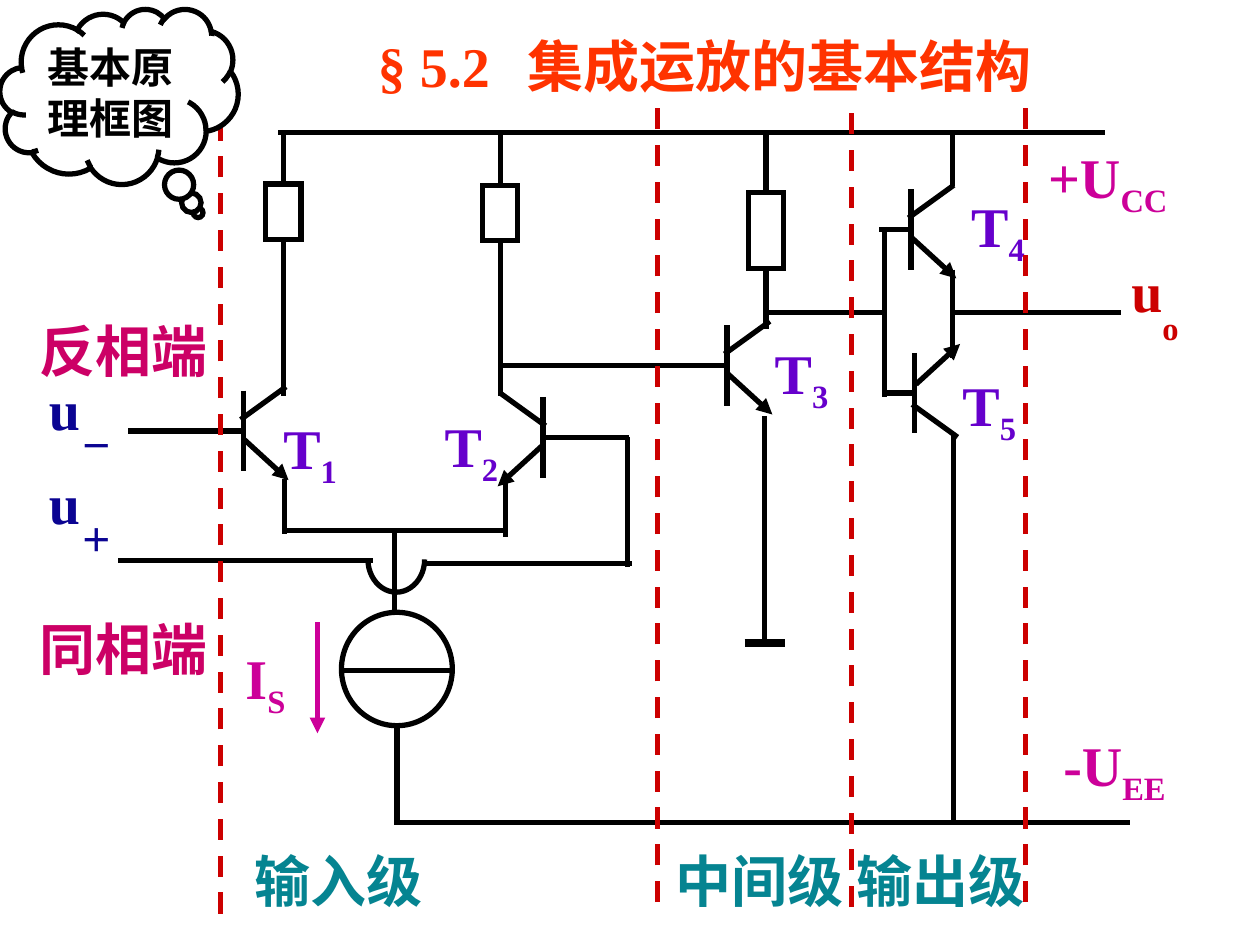
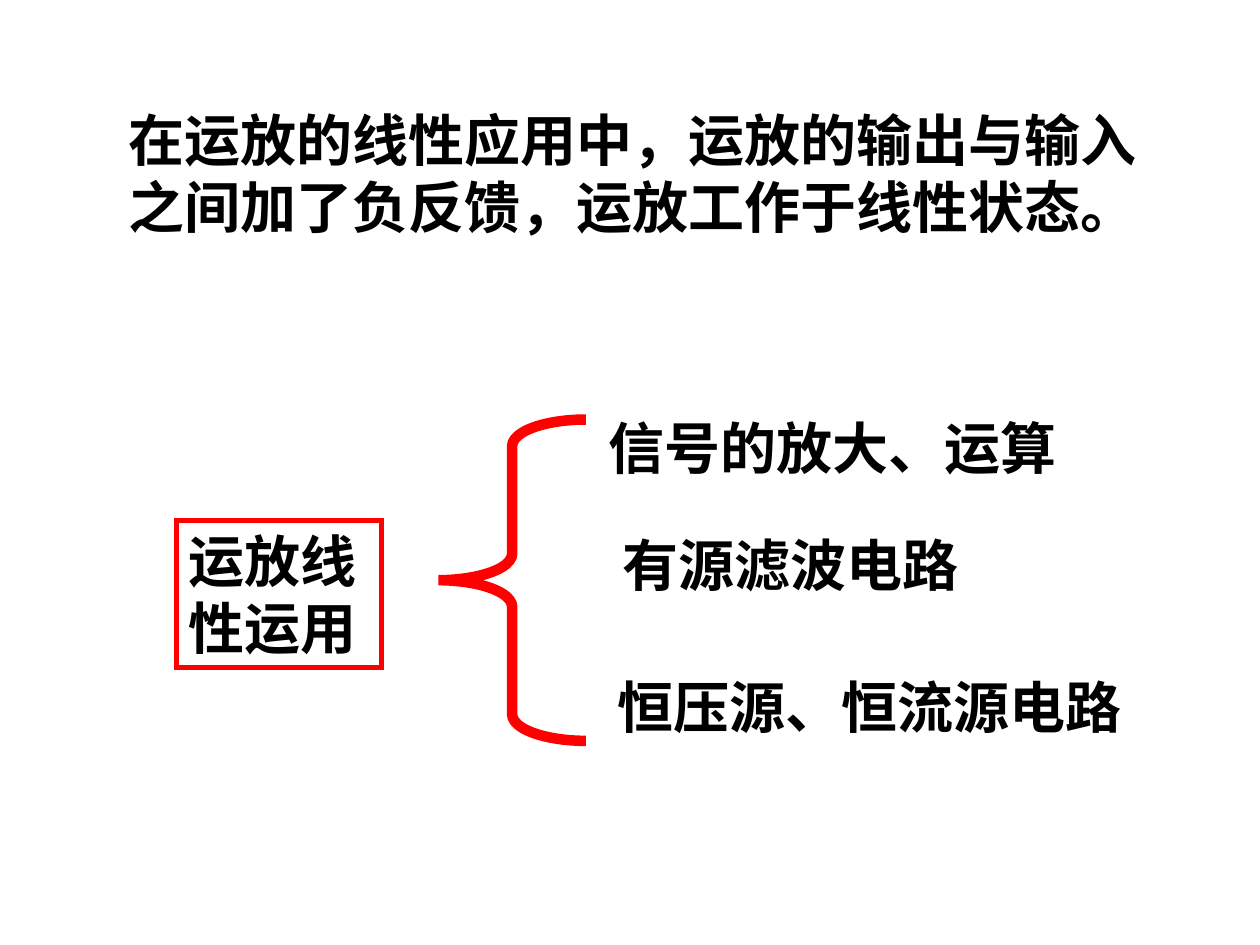
from lxml.etree import SubElement
from pptx import Presentation
from pptx.dml.color import RGBColor
from pptx.enum.dml import MSO_LINE
from pptx.enum.shapes import MSO_CONNECTOR, MSO_SHAPE
from pptx.enum.text import MSO_ANCHOR, PP_ALIGN
from pptx.oxml.ns import qn
from pptx.util import Inches, Pt

FONT = "Times New Roman"
BLACK, WHITE, RED = "000000", "FFFFFF", "FF0000"
ORANGE, CRIMSON, TEAL = "FF3300", "CC0000", "058491"
MAGENTA, PINK, PURPLE, NAVY = "CC0099", "CC0066", "6600CC", "0B0492"
RAIL = 1.05
GROUND = 6.53


def rgb(value):
    return RGBColor.from_string(value)


def write(shape, text, size=32, color=BLACK, align=PP_ALIGN.LEFT,
          anchor=MSO_ANCHOR.TOP, sub="", drop=-25, tab=None):
    frame = shape.text_frame
    frame.word_wrap = True
    frame.vertical_anchor = anchor
    para = frame.paragraphs[0]
    para.alignment = align
    if tab:
        stops = SubElement(para._p.get_or_add_pPr(), qn("a:tabLst"))
        SubElement(stops, qn("a:tab"), pos=str(Inches(tab)), algn="l")
    for part, baseline in ((text, 0), (sub, drop)):
        if not part:
            continue
        span = para.add_run()
        span.text = part
        span.font.name = FONT
        span.font.size = Pt(size)
        span.font.bold = True
        span.font.color.rgb = rgb(color)
        if baseline:
            span._r.get_or_add_rPr().set("baseline", str(baseline * 1000))


def label(page, text, left, top, width=1.0, height=0.64, **style):
    box = page.shapes.add_textbox(Inches(left), Inches(top),
                                  Inches(width), Inches(height))
    write(box, text, **style)


def heading(page, text, left, top, color):
    label(page, text, left, top, 1.65, 0.59, color=color, align=PP_ALIGN.CENTER)


def outline(page, kind, left, top, width, height, color=BLACK, weight=3,
            fill=None, adjustments=()):
    shape = page.shapes.add_shape(kind, Inches(left), Inches(top),
                                  Inches(width), Inches(height))
    shape.shadow.inherit = False
    if fill:
        shape.fill.solid()
        shape.fill.fore_color.rgb = rgb(fill)
    else:
        shape.fill.background()
    shape.line.color.rgb = rgb(color)
    shape.line.width = Pt(weight)
    SubElement(shape.line._get_or_add_ln(), qn("a:miter"), lim="800000")
    for index, value in enumerate(adjustments):
        shape.adjustments[index] = value
    return shape


def wire(page, x1, y1, x2, y2, color=BLACK, weight=3, dash=None, arrow=False):
    line = page.shapes.add_connector(MSO_CONNECTOR.STRAIGHT, Inches(x1), Inches(y1),
                                     Inches(x2), Inches(y2))
    line.line.color.rgb = rgb(color)
    line.line.width = Pt(weight)
    if dash:
        line.line.dash_style = dash
    if arrow:
        SubElement(line.line._get_or_add_ln(), qn("a:tailEnd"), type="triangle")
    SubElement(line._element.spPr, qn("a:effectLst"))
    return line


def resistor(page, x, top, height, end):
    body = outline(page, MSO_SHAPE.RECTANGLE, x - 0.14, top, 0.28, height)
    wire(page, x, RAIL, x, top).end_connect(body, 0)
    wire(page, x, top + height, x, end).begin_connect(body, 2)


def transistor(page, x, y, name, name_left, name_top, facing=1, emitter=1):
    wire(page, x, y - 0.32, x, y + 0.32)
    wire(page, x - 0.25 * facing, y, x, y)
    wire(page, x + 0.01 * facing, y + 0.07 * emitter,
         x + 0.36 * facing, y + 0.39 * emitter, arrow=True)
    wire(page, x - 0.02 * facing, y - 0.09 * emitter,
         x + 0.34 * facing, y - 0.35 * emitter)
    label(page, "T", name_left, name_top, 0.7, color=PURPLE, sub=name)


def current_source(page):
    wire(page, 3.13, 4.21, 3.13, 4.86)
    outline(page, MSO_SHAPE.OVAL, 2.71, 4.86, 0.88, 0.9, fill=WHITE)
    wire(page, 2.71, 5.32, 3.59, 5.32)
    wire(page, 3.15, 5.76, 3.15, 6.55)
    wire(page, 2.52, 4.94, 2.52, 5.82, color=MAGENTA, arrow=True)
    label(page, "I", 1.85, 5.06, 0.74, color=MAGENTA, sub="S")


def circuit_page(deck):
    page = deck.slides.add_slide(deck.slide_layouts[6])
    label(page, "§ 5.2\t集成运放的基本结构", 2.9, 0.2, 7.18,
          color=ORANGE, tab=1.19)
    for text, left in (("输入级", 1.86), ("中间级", 5.2), ("输出级", 6.64)):
        heading(page, text, left, 6.67, TEAL)
    for text, top in (("反相端", 2.46), ("同相端", 4.83)):
        heading(page, text, 0.16, top, PINK)
    for text, sub, left, top, color, drop in (
            ("+U", "CC", 8.22, 1.08, MAGENTA, -25),
            ("-U", "EE", 8.34, 5.75, MAGENTA, -25),
            ("u", "o", 8.88, 1.99, CRIMSON, -50),
            ("u", "－", 0.29, 2.92, NAVY, -50),
            ("u", "＋", 0.29, 3.67, NAVY, -50)):
        label(page, text, left, top, 1.28, color=color, sub=sub, drop=drop)

    for ends in (
            (2.21, RAIL, 8.77, RAIL),
            (3.13, GROUND, 8.97, GROUND),
            (1.02, 3.42, 1.7, 3.42),
            (0.94, 4.45, 2.96, 4.45),
            (3.36, 4.47, 5.02, 4.47),
            (4.52, 3.47, 4.99, 3.47),
            (4.98, 3.47, 4.98, 4.5),
            (2.26, 3.8, 2.26, 4.24),
            (4.01, 3.83, 4.01, 4.26),
            (2.25, 4.21, 3.99, 4.21),
            (3.97, 2.9, 5.61, 2.9),
            (6.07, 3.3, 6.07, 5.1),
            (6.07, 2.48, 7.04, 2.48),
            (7.02, 1.8, 7.02, 3.15),
            (7.56, RAIL, 7.56, 1.48),
            (7.56, 2.14, 7.56, 2.84),
            (7.57, 3.45, 7.57, GROUND),
            (7.56, 2.48, 8.9, 2.48)):
        wire(page, *ends)
    wire(page, 5.91, 5.1, 6.23, 5.1, weight=4.5)
    outline(page, MSO_SHAPE.ARC, 2.92, 4.18, 0.45, 0.52, adjustments=(0, 108))

    resistor(page, 2.25, 1.46, 0.44, 3.14)
    resistor(page, 3.97, 1.47, 0.44, 3.14)
    resistor(page, 6.08, 1.53, 0.6, 2.61)
    transistor(page, 1.93, 3.42, "1", 2.15, 3.23)
    transistor(page, 4.31, 3.47, "2", 3.43, 3.22, facing=-1)
    transistor(page, 5.77, 2.9, "3", 6.05, 2.64)
    transistor(page, 7.23, 1.82, "4", 7.61, 1.47)
    transistor(page, 7.26, 3.12, "5", 7.54, 2.89, emitter=-1)
    current_source(page)

    for x, bottom in ((1.75, 7.25), (5.22, 7.16), (6.76, 7.2), (8.14, 7.16)):
        wire(page, x, bottom, x, bottom - 6.31, color=CRIMSON, dash=MSO_LINE.DASH)
    cloud = outline(page, MSO_SHAPE.CLOUD_CALLOUT, 0, 0.07, 1.89, 1.39,
                    fill=WHITE, adjustments=(0.332, 0.664))
    write(cloud, "基本原理框图", size=24, align=PP_ALIGN.CENTER,
          anchor=MSO_ANCHOR.MIDDLE)


def applications_page(deck):
    page = deck.slides.add_slide(deck.slide_layouts[6])
    label(page, "在运放的线性应用中，运放的输出与输入之间加了负反馈，运放工作于线性状态。",
          0.92, 0.79, 8.42, 1.7)
    topic = outline(page, MSO_SHAPE.RECTANGLE, 1.4, 4.13, 1.63, 1.17, color=RED)
    write(topic, "运放线性运用")
    outline(page, MSO_SHAPE.LEFT_BRACE, 3.48, 3.33, 1.17, 2.55, color=RED,
            weight=6, adjustments=(0.18, 0.5))
    for text, left, top in (("信号的放大、运算", 4.73, 3.23),
                            ("有源滤波电路", 4.84, 4.16),
                            ("恒压源、恒流源电路", 4.8, 5.29)):
        label(page, text, left, top, 4.68)


def main():
    deck = Presentation()
    deck.slide_width = Inches(10)
    deck.slide_height = Inches(7.5)
    circuit_page(deck)
    applications_page(deck)
    deck.save("out.pptx")


if __name__ == "__main__":
    main()
